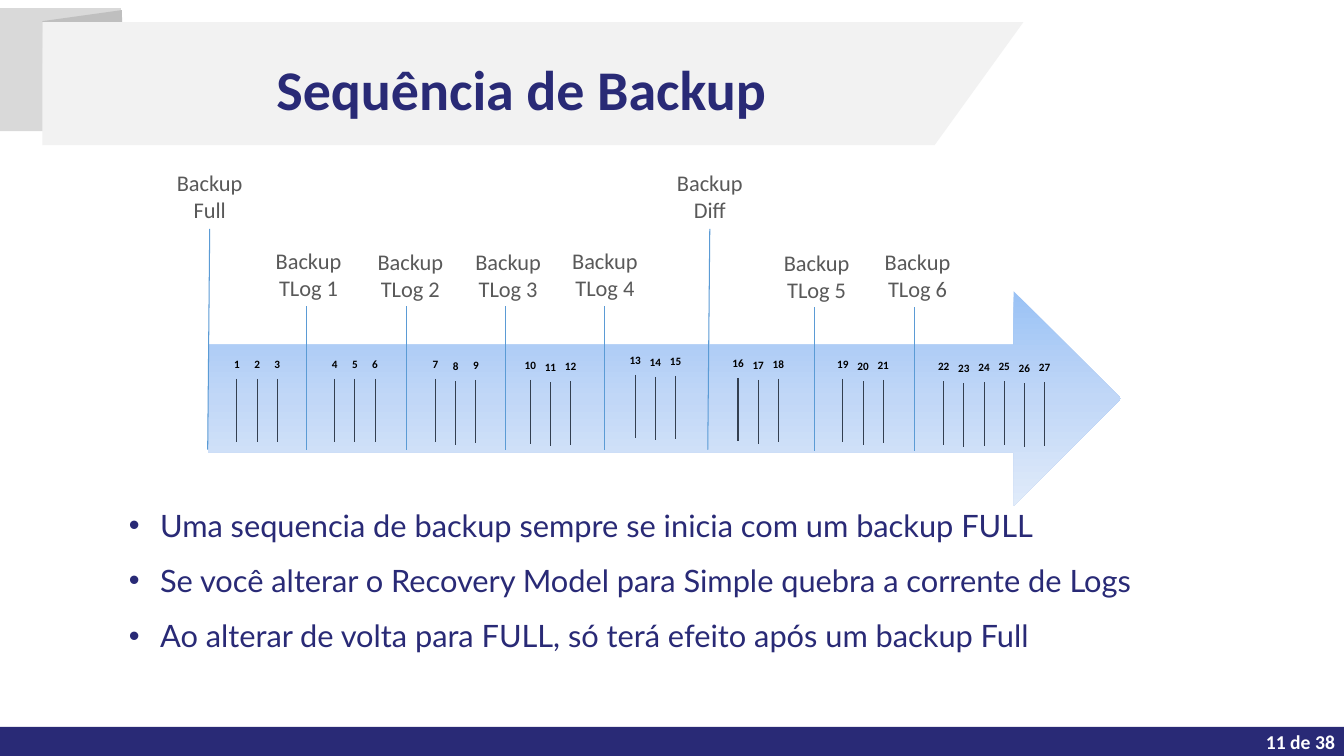
from lxml.etree import SubElement
from pptx import Presentation
from pptx.dml.color import RGBColor
from pptx.enum.shapes import MSO_CONNECTOR, MSO_SHAPE
from pptx.enum.text import MSO_ANCHOR, PP_ALIGN
from pptx.oxml.ns import qn
from pptx.util import Inches, Pt

NAVY = RGBColor(0x29, 0x2A, 0x76)
WHITE = RGBColor(0xFF, 0xFF, 0xFF)
BLACK = RGBColor(0, 0, 0)
GREY = RGBColor(0x59, 0x59, 0x59)
BLUE = RGBColor(0x5B, 0x9B, 0xD5)
SLATE = RGBColor(0x33, 0x3F, 0x50)
LIGHT = RGBColor(0xF2, 0xF2, 0xF2)
MID = RGBColor(0xD9, 0xD9, 0xD9)
DARK = RGBColor(0xBF, 0xBF, 0xBF)
SHADES = [
    (0, RGBColor(0x9A, 0xC2, 0xF5)),
    (50, RGBColor(0xC1, 0xD7, 0xF7)),
    (100, RGBColor(0xE0, 0xEB, 0xFA)),
]

# label, label centre, label top, label width, line foot x, line head x, head y
BACKUPS = [
    ("Backup Full", 2.08, 1.63, 1.14, 2.06, 2.08, 2.27),
    ("Backup TLog 1", 3.06, 2.4, 0.98, 3.04, 3.04, 3.04),
    ("Backup TLog 2", 4.07, 2.41, 0.98, 4.03, 4.03, 3.04),
    ("Backup TLog 3", 5.04, 2.41, 0.98, 5.01, 5.01, 3.04),
    ("Backup TLog 4", 6, 2.4, 0.98, 6, 6, 3.04),
    ("Backup Diff", 7.04, 1.63, 1.14, 7.02, 7.04, 2.27),
    ("Backup TLog 5", 8.1, 2.42, 0.98, 8.08, 8.08, 3.05),
    ("Backup TLog 6", 9.1, 2.41, 0.98, 9.07, 9.07, 3.05),
]
# left and top of each run of three numbered marks
TRIPLES = [
    (2.35, 3.76), (3.32, 3.76), (4.32, 3.76), (5.26, 3.77), (6.3, 3.72),
    (7.32, 3.75), (8.36, 3.76), (9.36, 3.78), (9.96, 3.78),
]
DROPS = (0, 0.02, 0.01)
POINTS = [
    "Uma sequencia de backup sempre se inicia com um backup FULL",
    "Se você alterar o Recovery Model para Simple quebra a corrente de Logs",
    "Ao alterar de volta para FULL, só terá efeito após um backup Full",
]


def place(shape, x, y, w, h):
    shape.left, shape.top = Inches(x), Inches(y)
    shape.width, shape.height = Inches(w), Inches(h)


def paint(shape, color):
    shape.shadow.inherit = False
    shape.line.fill.background()
    shape.fill.solid()
    shape.fill.fore_color.rgb = color


def add_block(slide, x, y, w, h, color, kind=MSO_SHAPE.RECTANGLE):
    shape = slide.shapes.add_shape(
        kind, Inches(x), Inches(y), Inches(w), Inches(h))
    paint(shape, color)
    return shape


def add_outline(slide, points, color):
    start, *rest = [(Inches(x), Inches(y)) for x, y in points]
    form = slide.shapes.build_freeform(*start)
    form.add_line_segments(rest, close=True)
    paint(form.convert_to_shape(), color)


def add_line(slide, x1, y1, x2, y2, color):
    line = slide.shapes.add_connector(
        MSO_CONNECTOR.STRAIGHT,
        Inches(x1), Inches(y1), Inches(x2), Inches(y2))
    line.line.color.rgb = color
    line.line.width = Pt(0.75)
    SubElement(line._element.spPr, qn("a:effectLst"))


def add_bullet(para):
    props = para._p.get_or_add_pPr()
    props.set("marL", str(Inches(0.31)))
    props.set("indent", str(-Inches(0.31)))
    tint = SubElement(SubElement(props, qn("a:buClr")), qn("a:srgbClr"))
    tint.set("val", str(NAVY))
    SubElement(props, qn("a:buFont")).set("typeface", "Arial")
    SubElement(props, qn("a:buChar")).set("char", "•")


def write(shape, *lines, size, color, font="Calibri", bold=False, wrap=True,
          align=PP_ALIGN.CENTER, anchor=MSO_ANCHOR.TOP, bullet=False,
          space=1.0):
    frame = shape.text_frame
    frame.word_wrap = wrap
    frame.vertical_anchor = anchor
    for i, text in enumerate(lines):
        para = frame.add_paragraph() if i else frame.paragraphs[0]
        para.alignment = align
        para.line_spacing = space
        if bullet:
            add_bullet(para)
        run = para.add_run()
        run.text = text
        run.font.name = font
        run.font.size = Pt(size)
        run.font.bold = bold
        run.font.color.rgb = color


def add_text(slide, x, y, w, h, *lines, **style):
    box = slide.shapes.add_textbox(
        Inches(x), Inches(y), Inches(w), Inches(h))
    write(box, *lines, **style)


def add_frame(slide):
    """Draw the footer bar and the folded title ribbon."""
    add_block(slide, 0, 7.21, 13.33, 0.29, NAVY)
    add_block(slide, 0, 0.08, 1.2, 1.22, MID)
    add_outline(slide, [(0.42, 0.21), (1.21, 0.1), (1.22, 1.42),
                        (0.44, 1.42)], DARK)
    add_outline(slide, [(0.42, 0.22), (10.15, 0.22), (9.27, 1.44),
                        (0.42, 1.44)], LIGHT)


def add_title(slide):
    title = slide.shapes.title
    place(title, 0.75, 0.45, 8.84, 0.84)
    write(title, "Sequência de Backup", size=40, color=NAVY, bold=True,
          anchor=MSO_ANCHOR.MIDDLE)
    slide.shapes._spTree.append(title._element)  # in front of the ribbon


def add_arrow(slide):
    arrow = add_block(slide, 2.06, 2.89, 9.06, 2.13, BLUE,
                      MSO_SHAPE.RIGHT_ARROW)
    arrow.fill.gradient()
    arrow.fill.gradient_angle = 270
    stops = arrow._element.spPr.find(".//" + qn("a:gsLst"))
    stops.clear()
    for pos, color in SHADES:
        stop = SubElement(stops, qn("a:gs"))
        stop.set("pos", str(pos * 1000))
        SubElement(stop, qn("a:srgbClr")).set("val", str(color))


def add_backups(slide):
    for text, mid, top, width, foot, head, high in BACKUPS:
        add_line(slide, foot, high + (2.19 if high < 3 else 1.42),
                 head, high, BLUE)
        add_text(slide, mid - width / 2, top, width, 0.63, text,
                 size=16, color=GREY)


def add_marks(slide):
    for i, (left, top) in enumerate(TRIPLES):
        for j, drop in enumerate(DROPS):
            x = left + 0.2 * j
            y = top + (drop if i > 1 else 0)
            add_line(slide, x, y, x, y + 0.63, SLATE)
            add_text(slide, x - 0.16, y - 0.26, 0.32, 0.23,
                     str(3 * i + j + 1), size=8, color=BLACK, bold=True,
                     wrap=False)


def main():
    deck = Presentation()
    deck.slide_width, deck.slide_height = Inches(13.33), Inches(7.5)
    slide = deck.slides.add_slide(deck.slide_layouts[5])
    add_frame(slide)
    add_title(slide)
    add_arrow(slide)
    add_backups(slide)
    add_text(slide, 1.18, 4.79, 11.81, 1.75, *POINTS, size=22, color=NAVY,
             font="Lato", align=PP_ALIGN.LEFT, bullet=True, space=1.5)
    add_marks(slide)
    add_text(slide, 11.46, 7.22, 1.88, 0.28, "11 de 38", size=14,
             color=WHITE, bold=True, align=PP_ALIGN.RIGHT,
             anchor=MSO_ANCHOR.MIDDLE)
    deck.save("out.pptx")


if __name__ == "__main__":
    main()
